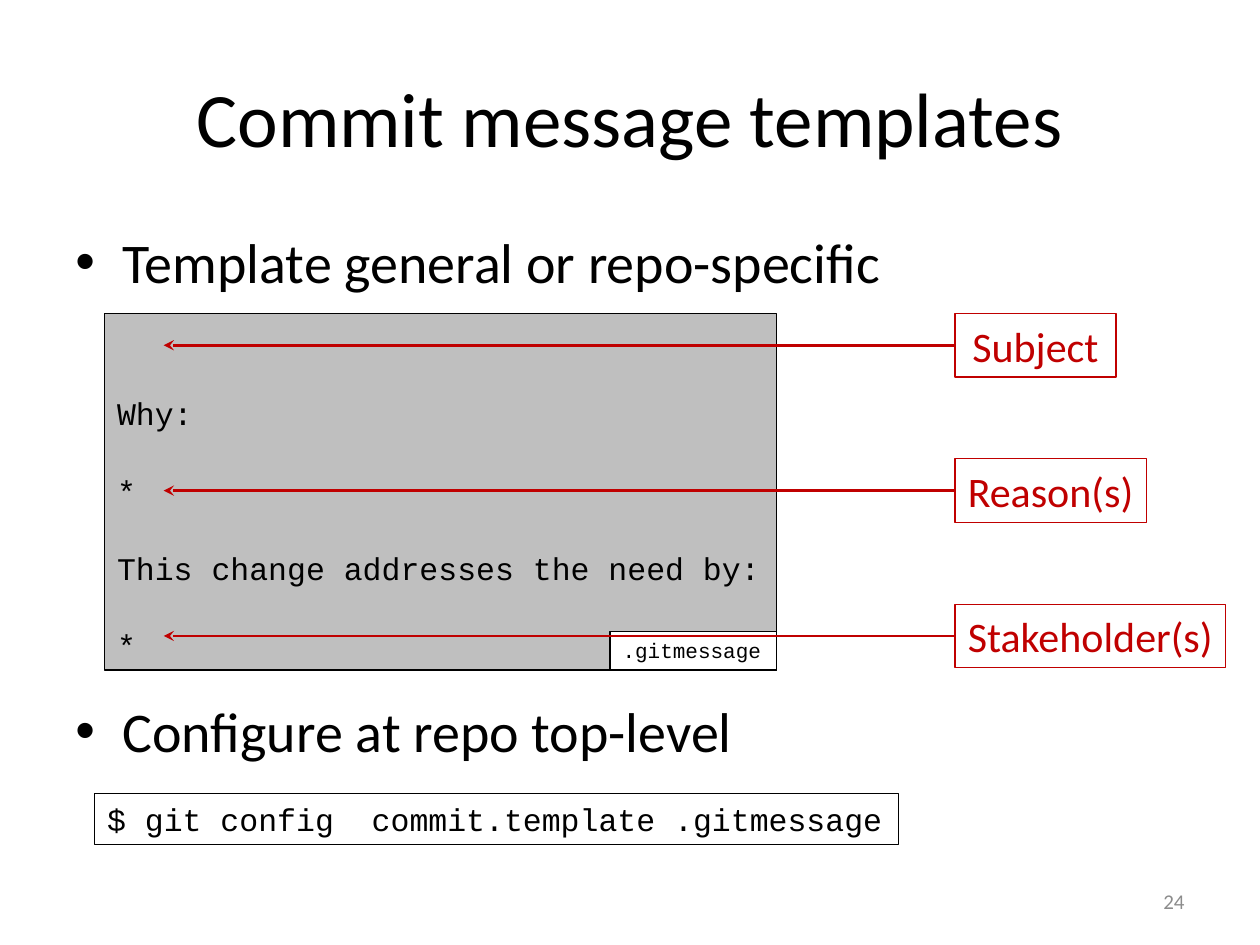
from dataclasses import dataclass

from lxml import etree
from pptx import Presentation
from pptx.dml.color import RGBColor
from pptx.enum.shapes import MSO_CONNECTOR as CONN, MSO_SHAPE as SHAPE
from pptx.enum.text import MSO_ANCHOR as ANCHOR, PP_ALIGN as ALIGN
from pptx.oxml.ns import qn
from pptx.util import Cm, Pt


@dataclass(frozen=True)
class Theme:
    black: RGBColor = RGBColor(0, 0, 0)
    white: RGBColor = RGBColor(255, 255, 255)
    panel: RGBColor = RGBColor(0xBF, 0xBF, 0xBF)
    accent: RGBColor = RGBColor(0xC0, 0, 0)
    muted: RGBColor = RGBColor(0x8C, 0x8C, 0x8C)
    sans: str = "Calibri"
    mono: str = "Courier New"
    title: Pt = Pt(44)
    body: Pt = Pt(32)
    label: Pt = Pt(24)
    code: Pt = Pt(18)
    small: Pt = Pt(12)


T = Theme()


def write(sp, lines, font, size, color, align=ALIGN.LEFT, anchor=ANCHOR.TOP,
          wrap=True, gap=0, bullet=False):
    tf = sp.text_frame
    frame = {"word_wrap": wrap, "vertical_anchor": anchor,
             "margin_left": Cm(0.25), "margin_right": Cm(0.25),
             "margin_top": Cm(0.13), "margin_bottom": Cm(0.13)}
    for name, value in frame.items():
        setattr(tf, name, value)
    for i, line in enumerate(lines):
        p = tf.paragraphs[0] if i == 0 else tf.add_paragraph()
        p.alignment = align
        if i:
            p.space_before = Pt(gap)
        if bullet:
            pPr = p._p.get_or_add_pPr()
            pPr.set("marL", str(Cm(0.95)))
            pPr.set("indent", str(-Cm(0.95)))
            etree.SubElement(pPr, qn("a:buFont"), typeface="Arial")
            etree.SubElement(pPr, qn("a:buChar"), char="•")
        r = p.add_run()
        r.text = line
        for name, value in {"name": font, "size": size}.items():
            setattr(r.font, name, value)
        r.font.color.rgb = color


def add_text(slide, box, lines, *style, **layout):
    sp = slide.shapes.add_textbox(*map(Cm, box))
    write(sp, lines, *style, **layout)


def add_box(slide, box, lines, *style, line=T.black, fill=None, **layout):
    sp = slide.shapes.add_shape(SHAPE.RECTANGLE, *map(Cm, box))
    sp.shadow.inherit = False
    if fill is None:
        sp.fill.background()
    else:
        sp.fill.solid()
        sp.fill.fore_color.rgb = fill
    sp.line.color.rgb = line
    sp.line.width = Pt(0.75)
    write(sp, lines, *style, wrap=False, **layout)
    return sp


def add_template(slide, box):
    x, y, w, h = box
    lines = ["Why:", "*", "This change addresses the need by:", "*"]
    add_box(slide, box, lines, T.mono, T.code, T.black,
            fill=T.panel, anchor=ANCHOR.BOTTOM, gap=22.5)
    tag_w, tag_h = 3.35, 0.78
    add_box(slide, (x + w - tag_w, y + h - tag_h, tag_w, tag_h),
            [".gitmessage"], T.mono, T.small, T.black, fill=T.white)


def add_callout(slide, box, text, tip_x):
    x, y, w, h = box
    sp = add_box(slide, box, [text], T.sans, T.label, T.accent,
                 line=T.accent, align=ALIGN.CENTER, anchor=ANCHOR.MIDDLE)
    mid = Cm(y + h / 2)
    cx = slide.shapes.add_connector(CONN.STRAIGHT, Cm(x), mid, Cm(tip_x), mid)
    cx.begin_connect(sp, 1)
    cx.line.color.rgb = T.accent
    cx.line.width = Pt(1.5)
    etree.SubElement(cx.line._get_or_add_ln(), qn("a:tailEnd"), type="stealth")
    etree.SubElement(cx._element.spPr, qn("a:effectLst"))


def add_callouts(slide, box, tip_x):
    x, y, h, step = box
    labels = [("Subject", 3.25), ("Reason(s)", 3.86), ("Stakeholder(s)", 5.46)]
    for i, (text, w) in enumerate(labels):
        add_callout(slide, (x, y + i * step, w, h), text, tip_x)


def main():
    prs = Presentation()
    prs.slide_width, prs.slide_height = Cm(25.4), Cm(19.05)
    slide = prs.slides.add_slide(prs.slide_layouts[6])
    add_text(slide, (1.27, 0.76, 22.86, 3.18), ["Commit message templates"],
             T.sans, T.title, T.black, align=ALIGN.CENTER, anchor=ANCHOR.MIDDLE)
    add_text(slide, (1.27, 4.45, 22.86, 12.57),
             ["Template general or repo-specific", "Configure at repo top-level"],
             T.sans, T.body, T.black, gap=230, bullet=True)
    add_template(slide, (2.11, 6.32, 13.54, 7.19))
    add_callouts(slide, (19.25, 6.32, 1.28, 2.93), 3.3)
    add_box(slide, (1.91, 16, 16.21, 1.02),
            ["$ git config  commit.template .gitmessage"],
            T.mono, T.code, T.black)
    add_text(slide, (18.21, 17.65, 5.92, 1.02), ["24"], T.sans, T.small,
             T.muted, align=ALIGN.RIGHT, anchor=ANCHOR.MIDDLE)
    prs.save("out.pptx")


if __name__ == "__main__":
    main()
